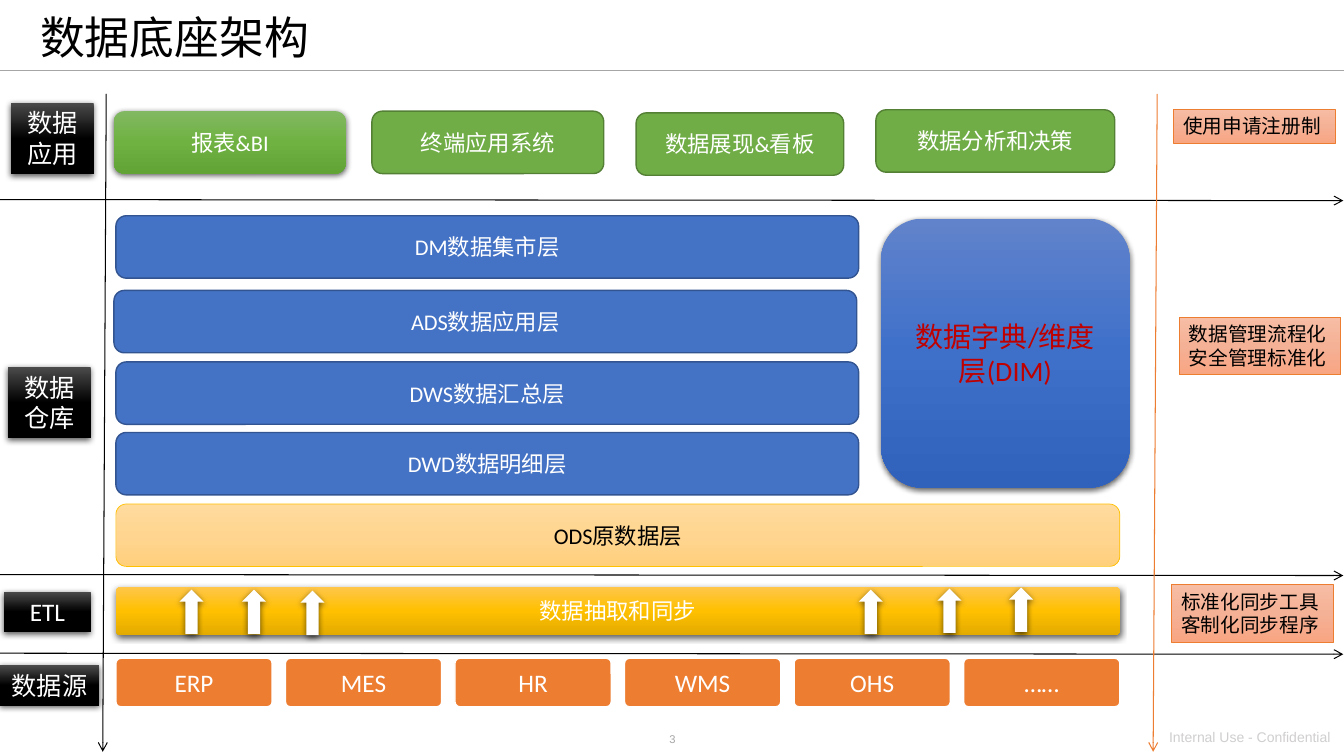
from lxml.etree import SubElement
from pptx import Presentation
from pptx.dml.color import RGBColor
from pptx.enum.shapes import MSO_CONNECTOR, MSO_SHAPE as Preset
from pptx.enum.text import MSO_ANCHOR as Anchor, PP_ALIGN as Align
from pptx.oxml.ns import qn
from pptx.util import Pt

BLACK = RGBColor(0x00, 0x00, 0x00)
WHITE = RGBColor(0xFF, 0xFF, 0xFF)
GREY = RGBColor(0xA6, 0xA6, 0xA6)
PALE_GREY = RGBColor(0xD0, 0xCE, 0xCE)
BLUE = RGBColor(0x44, 0x72, 0xC4)
DARK_BLUE = RGBColor(0x32, 0x54, 0x91)
GREEN = RGBColor(0x70, 0xAD, 0x47)
DARK_GREEN = RGBColor(0x53, 0x80, 0x35)
ORANGE = RGBColor(0xED, 0x7D, 0x31)
GOLD = RGBColor(0xFF, 0xC0, 0x00)
RED = RGBColor(0xC0, 0x00, 0x00)
GOLD_FADE = (RGBColor(0xFF, 0xC6, 0x4B), GOLD, RGBColor(0xE3, 0xAB, 0x00))
SAND_FADE = (RGBColor(0xFF, 0xDB, 0x9E), RGBColor(0xFF, 0xD5, 0x90), RGBColor(0xFF, 0xD0, 0x7C))
GREEN_FADE = (RGBColor(0x81, 0xB8, 0x61), RGBColor(0x6F, 0xB2, 0x42), RGBColor(0x62, 0xA3, 0x36))
BLUE_FADE = (RGBColor(0x61, 0x83, 0xCB), RGBColor(0x3E, 0x70, 0xCA), RGBColor(0x30, 0x62, 0xBB))
BLACK_FADE = (RGBColor(0x4B, 0x4B, 0x4B), BLACK, BLACK)
PEACH_FADE = (RGBColor(0xF7, 0xBD, 0xA5), RGBColor(0xF5, 0xB1, 0x96), RGBColor(0xF8, 0xA5, 0x82))


def write(frame, text, size=16, color=WHITE, font="Calibri", align=Align.CENTER,
          anchor=Anchor.MIDDLE, spacing=None):
    frame.word_wrap = True
    frame.vertical_anchor = anchor
    for index, line in enumerate(text.split("\n")):
        paragraph = frame.paragraphs[0] if index == 0 else frame.add_paragraph()
        paragraph.alignment = align
        if spacing:
            paragraph.line_spacing = spacing
        run = paragraph.add_run()
        run.text = line
        run.font.size = Pt(size)
        run.font.name = font
        run.font.color.rgb = color


def add_label(slide, box, text, **text_format):
    label = slide.shapes.add_textbox(*map(Pt, box))
    write(label.text_frame, text, **text_format)


def fade(shape, colors):
    shape.fill.gradient()
    shape.fill.gradient_angle = 270
    stops = shape.element.spPr.find(qn("a:gradFill")).find(qn("a:gsLst"))
    for stop in list(stops):
        stops.remove(stop)
    for position, color in zip((0, 50000, 100000), colors):
        stop = SubElement(stops, qn("a:gs"), pos=str(position))
        SubElement(stop, qn("a:srgbClr"), val=str(color))


def cast_shadow(shape):
    effects = shape.element.spPr.find(qn("a:effectLst"))
    shadow = SubElement(effects, qn("a:outerShdw"), blurRad=str(Pt(4.5)), dist=str(Pt(1.5)),
                        dir="5400000", algn="ctr", rotWithShape="0")
    color = SubElement(shadow, qn("a:srgbClr"), val=str(BLACK))
    SubElement(color, qn("a:alpha"), val="63000")


def add_block(slide, box, fill, text="", preset=Preset.ROUNDED_RECTANGLE, outline=None,
              outline_width=1, shadow=False, corner=None, **text_format):
    block = slide.shapes.add_shape(preset, *map(Pt, box))
    if corner:
        block.adjustments[0] = corner
    if isinstance(fill, RGBColor):
        block.fill.solid()
        block.fill.fore_color.rgb = fill
    else:
        fade(block, fill)
    if outline:
        block.line.color.rgb = outline
        block.line.width = Pt(outline_width)
    else:
        block.line.fill.background()
    block.shadow.inherit = False
    if shadow:
        cast_shadow(block)
    if text:
        write(block.text_frame, text, **text_format)


def add_rule(slide, ends, color=BLACK, width=0.75, arrow=True):
    rule = slide.shapes.add_connector(MSO_CONNECTOR.STRAIGHT, *map(Pt, ends))
    rule.line.color.rgb = color
    rule.line.width = Pt(width)
    if arrow:
        SubElement(rule.line._get_or_add_ln(), qn("a:tailEnd"), type="arrow")
    SubElement(rule.element.spPr, qn("a:effectLst"))


def add_header(slide, box):
    left, top, width, height = box
    add_rule(slide, (left, top + height, left + width, top + height), GREY, 1, arrow=False)
    add_label(slide, (left + 21.6, top + 4.3, 758, 49), "数据底座架构", size=32, color=BLACK,
              font="Arial", align=Align.LEFT, spacing=0.9)


def add_footer(slide, box):
    left, top, width, height = box
    add_label(slide, (left + 417, top + 2.9, 126.7, 17.3), "3", size=8, color=GREY,
              font="Arial", anchor=Anchor.TOP)
    add_label(slide, (left + width - 132, top, 132.5, height), "Internal Use - Confidential",
              size=10, color=PALE_GREY, font="Arial", align=Align.LEFT, anchor=Anchor.TOP)


def add_applications(slide, box):
    left, top, _, height = box
    add_block(slide, (left, top, 165.6, height), GREEN_FADE, "报表&BI", shadow=True)
    for name, offset, drop, width in (("终端应用系统", 184.3, 0, 165.6),
                                      ("数据展现&看板", 373, 1.2, 148.3),
                                      ("数据分析和决策", 544.3, -1, 170.6)):
        add_block(slide, (left + offset, top + drop, width, height), GREEN, name,
                  outline=DARK_GREEN)


def add_warehouse(slide, box):
    left, top, width, height = box
    layer_height = 44.6
    for name, offset, drop in (("DM数据集市层", 0, 0), ("ADS数据应用层", -1.4, 53.3),
                               ("DWS数据汇总层", 0, 104.4), ("DWD数据明细层", 0, 154.8)):
        add_block(slide, (left + offset, top + drop, 530.6, layer_height), BLUE, name,
                  outline=DARK_BLUE)
    add_block(slide, (left, top + height - layer_height, width, layer_height), SAND_FADE,
              "ODS原数据层", outline=GOLD, outline_width=0.5, color=BLACK)
    add_block(slide, (left + 546.5, top + 2.1, 177.8, 192.2), BLUE_FADE, "数据字典/维度层(DIM)",
              shadow=True, size=20, color=RED)


def add_extraction(slide, box):
    left, top, _, _ = box
    add_block(slide, box, GOLD_FADE, "数据抽取和同步", shadow=True, corner=0.1)
    for offset, drop in ((45.4, 2.2), (90, 2.2), (131.8, 2.9),
                         (530.6, 2.2), (586.8, 1.4), (637.9, 0.7)):
        add_block(slide, (left + offset, top + drop, 17.3, 31.7), WHITE,
                  preset=Preset.UP_ARROW, shadow=True)


def add_sources(slide, box):
    left, top, width, height = box
    systems = ("ERP", "MES", "HR", "WMS", "OHS", "……")
    gap = 9.5
    system_width = (width - gap * (len(systems) - 1)) / len(systems)
    for index, system in enumerate(systems):
        add_block(slide, (left + index * (system_width + gap), top, system_width, height),
                  ORANGE, system, outline=WHITE, corner=0.1, size=18)


def add_dividers(slide, box):
    left, top, width, height = box
    for level in (142.6, 410.4, 466.6):
        add_rule(slide, (left, level, left + width, level + 0.7))
    for start, end, color in ((75.9, 73.4, BLACK), (826.6, 823.7, ORANGE)):
        add_rule(slide, (left + start, top, left + end, top + height), color)


def add_stage_names(slide, box):
    left, top, _, _ = box
    for name, offset, drop, width, height in (("数据\n应用", 7.9, 0, 59, 51.1),
                                              ("数据仓库", 5.8, 188.7, 59, 51.1),
                                              ("ETL", 2.9, 349.2, 61.9, 28.8),
                                              ("数据源", 0, 401.8, 70.6, 28.8)):
        add_block(slide, (left + offset, top + drop, width, height), BLACK_FADE, name,
                  preset=Preset.RECTANGLE, shadow=True, size=18, anchor=Anchor.TOP)


def add_governance_notes(slide, box):
    left, top, width, _ = box
    for note, offset, drop, height in (("使用申请注册制", 1.4, 0, 24.5),
                                       ("数据管理流程化\n安全管理标准化", 5.4, 148.8, 41),
                                       ("标准化同步工具\n客制化同步程序", 0, 339.8, 41)):
        add_block(slide, (left + offset, top + drop, width, height), PEACH_FADE, note,
                  preset=Preset.RECTANGLE, outline=ORANGE, outline_width=0.5, size=14,
                  color=BLACK, align=Align.LEFT, anchor=Anchor.TOP)


def main():
    deck = Presentation()
    deck.slide_width, deck.slide_height = Pt(960), Pt(540)
    slide = deck.slides.add_slide(deck.slide_layouts[6])
    add_header(slide, (0, 0, 960, 50.4))
    add_footer(slide, (0, 517, 960, 19.4))
    add_extraction(slide, (82.8, 419, 717.1, 34.6))
    add_sources(slide, (82.8, 470.2, 717.1, 34.6))
    add_warehouse(slide, (82.8, 154.1, 717.1, 250.5))
    add_applications(slide, (81.4, 79.4, 715, 44.6))
    add_dividers(slide, (0, 67, 959.5, 470))
    add_stage_names(slide, (0, 73.4, 70.6, 430.6))
    add_governance_notes(slide, (836.8, 77.8, 115.6, 380.8))
    deck.save("out.pptx")


if __name__ == "__main__":
    main()
